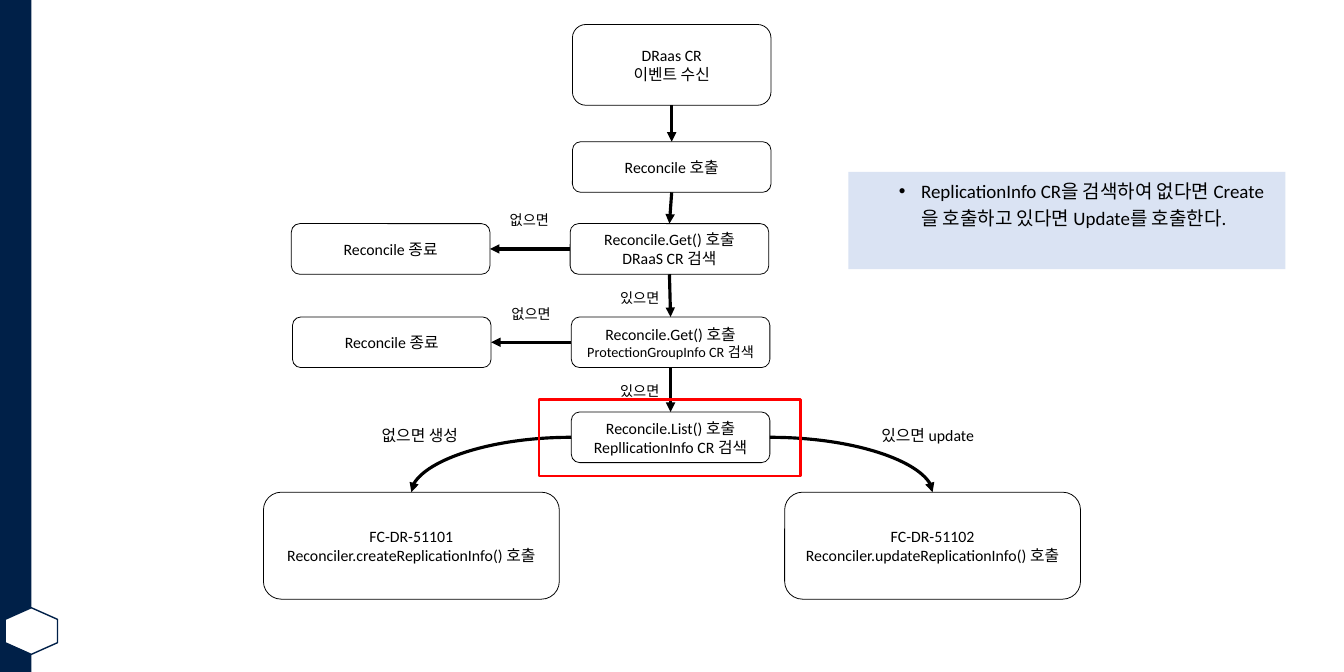
"""Builds the flowchart slide of the reconcile steps for a DRaaS custom resource."""
from dataclasses import dataclass

from pptx import Presentation
from pptx import util as u
from pptx.dml import color
from pptx.enum import shapes, text
from pptx.oxml import ns, xmlchemy

CELL = 0.1
COLUMNS, ROWS = 236.2, 118.1
NODE_WIDTH, NODE_HEIGHT = 34.9, 8.9
END_WIDTH, END_HEIGHT = 52, 18.8
BRANCH_OFFSET = 49
GET_COLUMN, GROUP_COLUMN = 100.2, 100.4
GET_ROW, GROUP_ROW, END_ROW = 39.3, 55.7, 86.5
TOP, LEFT, BOTTOM, RIGHT = range(4)


@dataclass(frozen=True)
class Theme:
    font: str = "Calibri"
    ink: str = "000000"
    paper: str = "FFFFFF"
    navy: str = "002048"
    note: str = "DAE3F3"
    alert: str = "FF0000"
    small: int = 18
    body: int = 20
    large: int = 24


THEME = Theme()


@dataclass(frozen=True)
class Node:
    column: float
    row: float
    lines: tuple[str, ...]
    width: float = NODE_WIDTH
    height: float = NODE_HEIGHT
    last_size: int = THEME.body


@dataclass(frozen=True)
class Arrow:
    start: str
    start_side: int
    end: str
    end_side: int
    curved: bool = False


@dataclass(frozen=True)
class Label:
    column: float
    row: float
    words: str
    width: float = 9.6
    height: float = 4
    size: int = THEME.small


NODES = {
    "event": Node(100.6, 4.3, ("DRaas CR", "이벤트 수신"), height=14.2),
    "call": Node(100.6, 24.9, ("Reconcile 호출",)),
    "get": Node(GET_COLUMN, GET_ROW, ("Reconcile.Get() 호출", "DRaaS CR 검색")),
    "group": Node(GROUP_COLUMN, GROUP_ROW,
                  ("Reconcile.Get() 호출", "ProtectionGroupInfo CR 검색"),
                  last_size=THEME.small),
    "list": Node(GROUP_COLUMN, 72.4, ("Reconcile.List() 호출", "RepllicationInfo CR 검색")),
    "get_end": Node(GET_COLUMN - BRANCH_OFFSET, GET_ROW, ("Reconcile 종료",)),
    "group_end": Node(GROUP_COLUMN - BRANCH_OFFSET, GROUP_ROW, ("Reconcile 종료",)),
    "create": Node(46.3, END_ROW, ("FC-DR-51101", "Reconciler.createReplicationInfo() 호출"),
                   END_WIDTH, END_HEIGHT),
    "update": Node(137.9, END_ROW, ("FC-DR-51102", "Reconciler.updateReplicationInfo() 호출"),
                   END_WIDTH, END_HEIGHT),
}

ARROWS = (
    Arrow("event", BOTTOM, "call", TOP),
    Arrow("call", BOTTOM, "get", TOP),
    Arrow("get", BOTTOM, "group", TOP),
    Arrow("group", BOTTOM, "list", TOP),
    Arrow("get", LEFT, "get_end", RIGHT),
    Arrow("group", LEFT, "group_end", RIGHT),
    Arrow("list", RIGHT, "update", TOP, curved=True),
    Arrow("list", LEFT, "create", TOP, curved=True),
)

LABELS = (
    Label(88.6, 36.7, "없으면"),
    Label(88.9, 53.1, "없으면"),
    Label(108, 50.3, "있으면"),
    Label(108, 66.7, "있으면"),
    Label(66.1, 74.4, "없으면 생성", 16.7, 4.4, THEME.body),
    Label(153.9, 74.4, "있으면 update", 19.1, 4.4, THEME.body),
)

NOTE = "ReplicationInfo CR을 검색하여 없다면 Create을 호출하고 있다면 Update를 호출한다."


def cells(count: float) -> u.Length:
    """Turn a number of grid cells into a length."""
    return u.Inches(count * CELL)


def rgb(value: str) -> color.RGBColor:
    """Turn a theme colour into an RGB colour."""
    return color.RGBColor.from_string(value)


def add_box(page, kind, column: float, row: float, width: float, height: float,
            fill: str | None = None, line: str | None = None, weight: float = 1):
    """Draw a preset shape on the grid."""
    box = page.shapes.add_shape(kind, cells(column), cells(row), cells(width), cells(height))
    box.shadow.inherit = False
    if fill:
        box.fill.solid()
        box.fill.fore_color.rgb = rgb(fill)
    else:
        box.fill.background()
    if line:
        box.line.color.rgb = rgb(line)
        box.line.width = u.Pt(weight)
    else:
        box.line.fill.background()
    return box


def add_words(para, words: str, size: int) -> None:
    """Add one run in the theme's font and ink."""
    span = para.add_run()
    span.text = words
    span.font.name = THEME.font
    span.font.size = u.Pt(size)
    span.font.color.rgb = rgb(THEME.ink)


def add_node(page, node: Node):
    """Draw one step of the flow with its centred lines."""
    box = add_box(page, shapes.MSO_SHAPE.ROUNDED_RECTANGLE, node.column, node.row,
                  node.width, node.height, THEME.paper, THEME.ink)
    frame = box.text_frame
    frame.word_wrap = True
    frame.vertical_anchor = text.MSO_ANCHOR.MIDDLE
    for index, words in enumerate(node.lines):
        para = frame.add_paragraph() if index else frame.paragraphs[0]
        para.alignment = text.PP_ALIGN.CENTER
        add_words(para, words, node.last_size if index else THEME.body)
    return box


def add_arrow(page, arrow: Arrow, boxes: dict) -> None:
    """Join two steps with a straight or curved arrow."""
    kind = shapes.MSO_CONNECTOR.CURVE if arrow.curved else shapes.MSO_CONNECTOR.STRAIGHT
    link = page.shapes.add_connector(kind, 0, 0, 0, 0)
    link.begin_connect(boxes[arrow.start], arrow.start_side)
    link.end_connect(boxes[arrow.end], arrow.end_side)
    link.line.color.rgb = rgb(THEME.ink)
    link.line.width = u.Pt(4)
    properties = link._element.spPr
    if arrow.curved:
        properties.find(ns.qn("a:prstGeom")).set("prst", "curvedConnector2")
    head = xmlchemy.OxmlElement("a:tailEnd")
    head.set("type", "triangle")
    link.line._get_or_add_ln().append(head)
    properties.append(xmlchemy.OxmlElement("a:effectLst"))


def add_label(page, label: Label) -> None:
    """Write the condition beside an arrow."""
    box = page.shapes.add_textbox(cells(label.column), cells(label.row),
                                  cells(label.width), cells(label.height))
    box.text_frame.word_wrap = False
    box.text_frame.auto_size = text.MSO_AUTO_SIZE.SHAPE_TO_FIT_TEXT
    add_words(box.text_frame.paragraphs[0], label.words, label.size)


def add_note(page) -> None:
    """Draw the shaded note with its bullet."""
    box = add_box(page, shapes.MSO_SHAPE.RECTANGLE, 149.1, 30.2, 76.8, 17.1, THEME.note)
    box.text_frame.word_wrap = True
    box.text_frame.vertical_anchor = text.MSO_ANCHOR.TOP
    para = box.text_frame.paragraphs[0]
    para.alignment = text.PP_ALIGN.LEFT
    para.line_spacing = 1.2
    properties = para._p.get_or_add_pPr()
    properties.set("marL", str(cells(11.8)))
    properties.set("indent", str(cells(-3.9)))
    for tag, name, value in (("a:buFont", "typeface", "Arial"), ("a:buChar", "char", "•")):
        bullet = xmlchemy.OxmlElement(tag)
        bullet.set(name, value)
        properties.append(bullet)
    add_words(para, NOTE, THEME.large)


def main() -> None:
    """Build the slide and save the deck."""
    deck = Presentation()
    deck.slide_width, deck.slide_height = cells(COLUMNS), cells(ROWS)
    page = deck.slides.add_slide(deck.slide_layouts.get_by_name("Blank"))
    add_box(page, shapes.MSO_SHAPE.RECTANGLE, 0, 0, 5.5, ROWS, THEME.navy)
    badge = add_box(page, shapes.MSO_SHAPE.HEXAGON, 1.4, 106.3, 8.2, 9.2,
                    THEME.paper, THEME.navy, 1.75)
    badge.rotation = 90
    boxes = {name: add_node(page, node) for name, node in NODES.items()}
    for arrow in ARROWS:
        add_arrow(page, arrow, boxes)
    for label in LABELS:
        add_label(page, label)
    add_box(page, shapes.MSO_SHAPE.RECTANGLE, 94.7, 70.2, 46, 13.5, line=THEME.alert, weight=3)
    add_note(page)
    deck.save("out.pptx")


if __name__ == "__main__":
    main()
